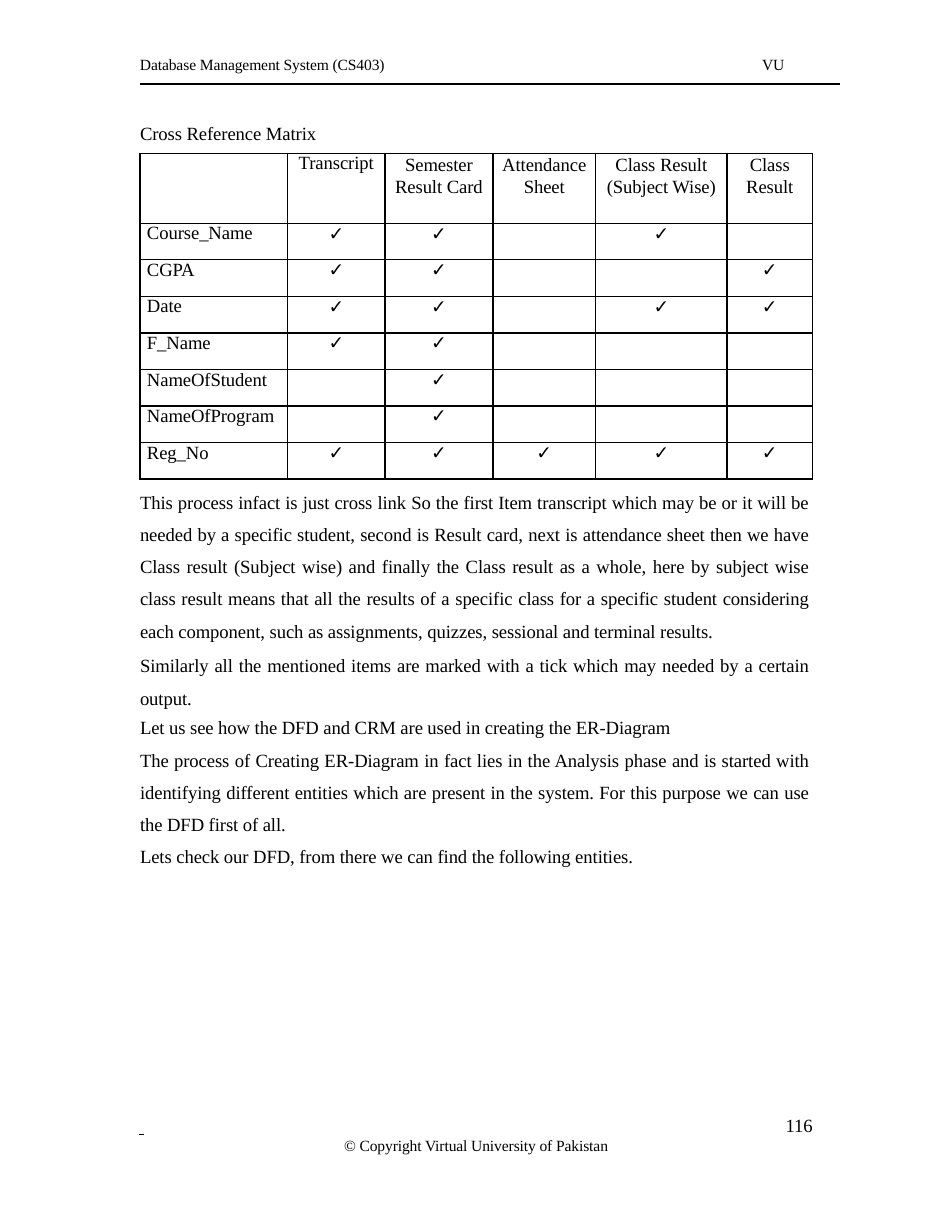
from collections import namedtuple
from dataclasses import dataclass

from lxml import etree
from pptx import Presentation
from pptx import util as u
from pptx.dml import color
from pptx.enum import shapes, text
from pptx.oxml import ns

Pt = u.Pt
Box = namedtuple("Box", "left top width height")


@dataclass(frozen=True)
class Theme:
    ink: color.RGBColor = color.RGBColor(0, 0, 0)
    font: str = "Times New Roman"
    tick_font: str = "Arial"
    small: float = 10
    normal: float = 12
    rule: float = 1
    tracking: str = "-5"


THEME = Theme()
ALIGN = text.PP_ALIGN
TICK = "✓"

HEADINGS = ["", "Transcript", "Semester\vResult Card", "Attendance\vSheet",
            "Class Result\v(Subject Wise)", "Class\vResult"]
TICKED_COLUMNS = {
    "Course_Name": [1, 2, 4],
    "CGPA": [1, 2, 5],
    "Date": [1, 2, 4, 5],
    "F_Name": [1, 2],
    "NameOfStudent": [2],
    "NameOfProgram": [2],
    "Reg_No": [1, 2, 3, 4, 5],
}
COLUMN_WIDTHS = [95, 62.5, 69.5, 66, 84.5, 55]
HEADING_HEIGHT = 45
ROW_HEIGHT = 23.5

BODY = [
    ("This process infact is just cross link So the first Item transcript which may be or it "
     "will be needed by a specific student, second is Result card, next is attendance sheet "
     "then we have Class result (Subject wise) and finally the Class result as a whole, here "
     "by subject wise class result means that all the results of a specific class for a "
     "specific student considering each component, such as assignments, quizzes, sessional "
     "and terminal results.", 1.44, 0),
    ("Similarly all the mentioned items are marked with a tick which may needed by a certain "
     "output.", Pt(20.8), 1.6),
    ("Let us see how the DFD and CRM are used in creating the ER-Diagram", 1, 4.5),
    ("The process of Creating ER-Diagram in fact lies in the Analysis phase and is started "
     "with identifying different entities which are present in the system. For this purpose "
     "we can use the DFD first of all.", 1.44, 0.1),
    ("Lets check our DFD, from there we can find the following entities.", 1, 6.2),
]


def format_paragraph(paragraph, size, align=ALIGN.LEFT, spacing=None, before=0, font=THEME.font):
    paragraph.alignment = align
    paragraph.space_before = Pt(before)
    if spacing is not None:
        paragraph.line_spacing = spacing
    for run in paragraph.runs:
        run.font.name = font
        run.font.size = Pt(size)
        run.font.color.rgb = THEME.ink
        run._r.get_or_add_rPr().set("spc", THEME.tracking)


def add_text_frame(slide, box):
    frame = slide.shapes.add_textbox(*map(Pt, box)).text_frame
    frame.margin_left = frame.margin_top = frame.margin_right = frame.margin_bottom = 0
    frame.word_wrap = True
    return frame


def add_label(slide, box, wording, size):
    frame = add_text_frame(slide, box)
    frame.text = wording
    format_paragraph(frame.paragraphs[0], size)


def add_header(slide, box):
    add_label(slide, Box(box.left, box.top, 200, 13), "Database Management System (CS403)", THEME.small)
    add_label(slide, Box(box.left + 400, box.top, 25, 13), "VU", THEME.small)
    bottom = box.top + box.height
    rule = slide.shapes.add_connector(shapes.MSO_CONNECTOR.STRAIGHT, Pt(box.left), Pt(bottom),
                                      Pt(box.left + box.width), Pt(bottom))
    rule.line.color.rgb = THEME.ink
    rule.line.width = Pt(THEME.rule)
    etree.SubElement(rule._element.spPr, ns.qn("a:effectLst"))


def set_borders(cell):
    properties = cell._tc.get_or_add_tcPr()
    for position, side in enumerate(["lnL", "lnR", "lnT", "lnB"]):
        border = etree.Element(ns.qn(f"a:{side}"), w=str(Pt(THEME.rule)))
        fill = etree.SubElement(border, ns.qn("a:solidFill"))
        etree.SubElement(fill, ns.qn("a:srgbClr"), val=str(THEME.ink))
        properties.insert(position, border)


def fill_cell(cell, wording, align, spacing=None, before=1.0, font=THEME.font):
    cell.margin_left = Pt(4.5 if align == ALIGN.LEFT else 0)
    cell.margin_right = cell.margin_top = cell.margin_bottom = 0
    cell.fill.background()
    set_borders(cell)
    cell.text_frame.text = wording
    paragraph = cell.text_frame.paragraphs[0]
    paragraph.font.size = Pt(THEME.normal)
    format_paragraph(paragraph, THEME.normal, align, spacing, before, font)


def add_matrix(slide, box):
    table = slide.shapes.add_table(len(TICKED_COLUMNS) + 1, len(HEADINGS), *map(Pt, box)).table
    table.first_row = table.horz_banding = False
    for column, width in zip(table.columns, COLUMN_WIDTHS):
        column.width = Pt(width)
    for index, row in enumerate(table.rows):
        row.height = Pt(ROW_HEIGHT if index else HEADING_HEIGHT)
    for index, heading in enumerate(HEADINGS):
        spacing = Pt(14.2) if "\v" in heading else None
        fill_cell(table.cell(0, index), heading, ALIGN.CENTER, spacing, 1.6)
    for row, (name, ticked) in enumerate(TICKED_COLUMNS.items(), 1):
        fill_cell(table.cell(row, 0), name, ALIGN.LEFT, before=1.6)
        for column in range(1, len(HEADINGS)):
            mark = TICK if column in ticked else ""
            fill_cell(table.cell(row, column), mark, ALIGN.CENTER, font=THEME.tick_font)


def add_body(slide, box):
    frame = add_text_frame(slide, box)
    for index, (wording, spacing, before) in enumerate(BODY):
        paragraph = frame.add_paragraph() if index else frame.paragraphs[0]
        paragraph.text = wording
        format_paragraph(paragraph, THEME.normal, ALIGN.JUSTIFY, spacing, before)


def add_footer(slide, box):
    frame = add_text_frame(slide, box)
    number = frame.paragraphs[0]
    tabs = etree.SubElement(number._p.get_or_add_pPr(), ns.qn("a:tabLst"))
    etree.SubElement(tabs, ns.qn("a:tab"), pos=str(Pt(415.5)), algn="l")
    for wording, underlined in [(" \t", True), ("116", False)]:
        run = number.add_run()
        run.text = wording
        run.font.underline = underlined
    format_paragraph(number, THEME.normal, ALIGN.CENTER, Pt(12.6))
    notice = frame.add_paragraph()
    notice.text = "© Copyright Virtual University of Pakistan"
    format_paragraph(notice, THEME.small, ALIGN.CENTER, Pt(11.5))


def main():
    presentation = Presentation()
    presentation.slide_width, presentation.slide_height = Pt(612), Pt(792)
    slide = presentation.slides.add_slide(presentation.slide_layouts[6])
    add_header(slide, Box(90, 35.5, 450, 18.5))
    add_label(slide, Box(90, 78, 120, 15), "Cross Reference Matrix", THEME.normal)
    add_matrix(slide, Box(90, 98.5, sum(COLUMN_WIDTHS),
                          HEADING_HEIGHT + ROW_HEIGHT * len(TICKED_COLUMNS)))
    add_body(slide, Box(90, 309, 430.5, 249))
    add_footer(slide, Box(88, 718, 436, 25))
    presentation.save("out.pptx")


if __name__ == "__main__":
    main()
